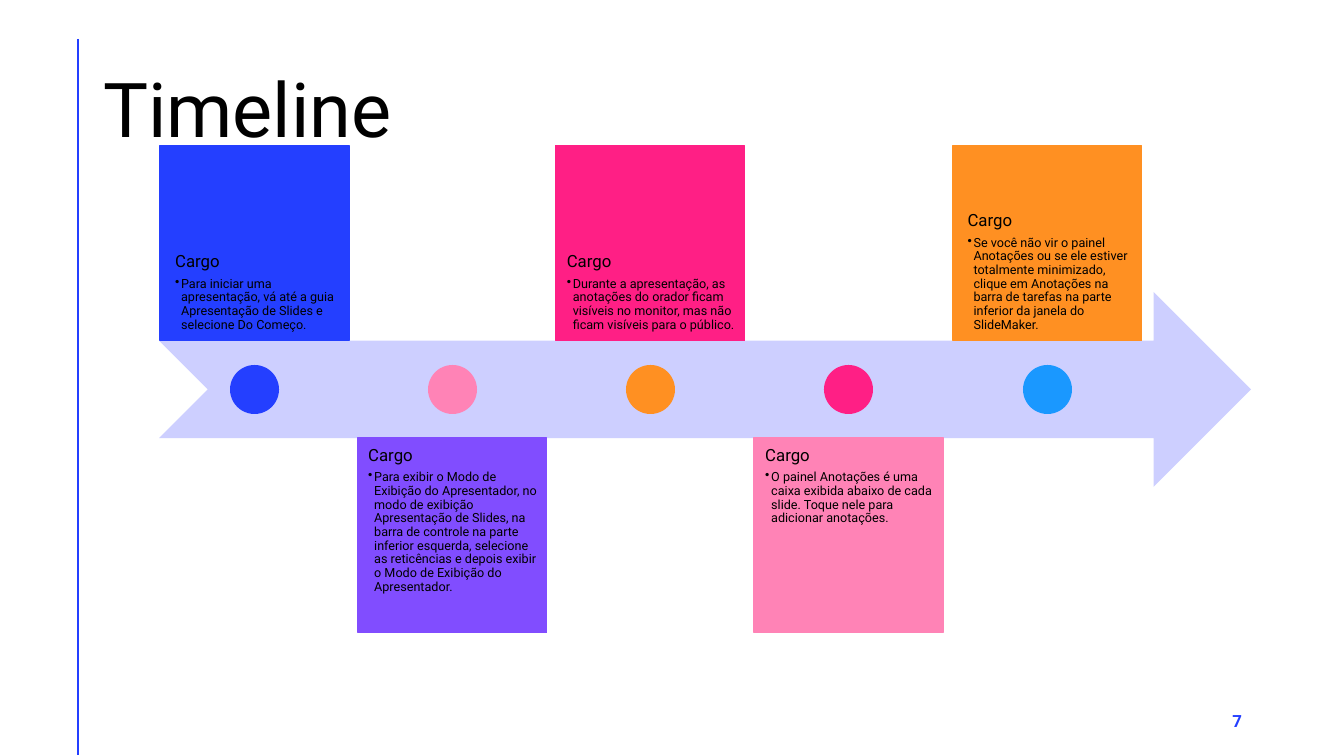
"""Build the timeline slide: five job cards alternating above and below an arrow."""
import pptx
import pptx.util
import pptx.dml.color
import pptx.enum.shapes
import pptx.enum.text
import pptx.oxml.ns
from lxml import etree

PX = 12192000 / 1344
FONT = "Roboto"
COLORS = {
    "black": "000000", "blue": "243FFF", "violet": "814DFF", "magenta": "FF1F85",
    "pink": "FF83B6", "orange": "FF9022", "sky": "1A98FF", "lavender": "CDCFFF",
}
SHAPES = pptx.enum.shapes.MSO_SHAPE
ANCHOR = pptx.enum.text.MSO_ANCHOR
ALIGN = pptx.enum.text.PP_ALIGN


def px(*lengths):
    return [pptx.util.Emu(round(length * PX)) for length in lengths]


def write(paragraph, text, size, color="black", bold=False, align=ALIGN.LEFT,
          spacing=0.9, after=0, bullet=False, tracking=0):
    properties = paragraph._p.get_or_add_pPr()
    if bullet:
        paragraph.level = 1
        indent = px(6)[0]
        properties.set("marL", str(indent))
        properties.set("indent", str(-indent))
        mark = etree.SubElement(properties, pptx.oxml.ns.qn("a:buChar"))
        mark.set("char", "•")
    paragraph.alignment = align
    paragraph.line_spacing = spacing
    paragraph.space_before = pptx.util.Pt(0)
    paragraph.space_after = pptx.util.Pt(after)
    run = paragraph.add_run()
    run.text = text
    run.font.name = FONT
    run.font.size = pptx.util.Pt(size)
    run.font.bold = bold
    run.font.color.rgb = pptx.dml.color.RGBColor.from_string(COLORS[color])
    if tracking:
        run._r.get_or_add_rPr().set("spc", str(tracking * 100))


presentation = pptx.Presentation()
presentation.slide_width, presentation.slide_height = px(1344, 756)
slide = presentation.slides.add_slide(presentation.slide_layouts[5])

rule = slide.shapes.add_connector(
    pptx.enum.shapes.MSO_CONNECTOR.STRAIGHT, *px(78, 39, 78, 755))
rule.line.color.rgb = pptx.dml.color.RGBColor.from_string(COLORS["blue"])
rule.line.width = pptx.util.Pt(2)
etree.SubElement(rule._element.spPr, pptx.oxml.ns.qn("a:effectLst"))

title = slide.shapes.title
title.left, title.top, title.width, title.height = px(93, 40, 1159, 146)
title.text_frame.auto_size = pptx.enum.text.MSO_AUTO_SIZE.NONE
title.text_frame.vertical_anchor = ANCHOR.MIDDLE
write(title.text_frame.paragraphs[0], "Timeline", size=54)

number = slide.shapes.add_textbox(*px(950, 701, 302, 40))
number.text_frame.word_wrap = True
number.text_frame.vertical_anchor = ANCHOR.MIDDLE
write(number.text_frame.paragraphs[0], "7", size=12, color="blue", bold=True,
      align=ALIGN.RIGHT, spacing=1, tracking=1)

CARDS = [
    ("blue", "blue", "Para iniciar uma apresentação, vá até a guia Apresentação de Slides "
     "e selecione Do Começo."),
    ("violet", "pink", "Para exibir o Modo de Exibição do Apresentador, no modo de exibição "
     "Apresentação de Slides, na barra de controle na parte inferior esquerda, selecione "
     "as reticências e depois exibir o Modo de Exibição do Apresentador."),
    ("magenta", "orange", "Durante a apresentação, as anotações do orador ficam visíveis no "
     "monitor, mas não ficam visíveis para o público."),
    ("pink", "magenta", "O painel Anotações é uma caixa exibida abaixo de cada slide. "
     "Toque nele para adicionar anotações."),
    ("orange", "sky", "Se você não vir o painel Anotações ou se ele estiver totalmente "
     "minimizado, clique em Anotações na barra de tarefas na parte inferior da janela do "
     "SlideMaker."),
]
CARD_WIDTH, CARD_HEIGHT, DOT = 189, 195, 49

pieces = [(SHAPES.NOTCHED_RIGHT_ARROW, (159, 292, 1092, 195), "lavender", None)]
for index, (card_color, dot_color, text) in enumerate(CARDS):
    left = 160 + index * 793 // 4
    top = 438 if index % 2 else 146
    pieces.append((SHAPES.RECTANGLE, (left, top, CARD_WIDTH, CARD_HEIGHT), card_color, text))
    pieces.append((SHAPES.OVAL, (left + (CARD_WIDTH - DOT) // 2, 365, DOT, DOT),
                   dot_color, None))

for kind, box, color, text in pieces:
    shape = slide.shapes.add_shape(kind, *px(*box))
    shape.shadow.inherit = False
    shape.fill.solid()
    shape.fill.fore_color.rgb = pptx.dml.color.RGBColor.from_string(COLORS[color])
    if text is None:
        shape.line.fill.background()
        continue
    shape.line.color.rgb = pptx.dml.color.RGBColor.from_string(COLORS[color])
    shape.line.width = pptx.util.Pt(0.75)
    frame = shape.text_frame
    frame.word_wrap = True
    frame.margin_left, frame.margin_top, frame.margin_right, frame.margin_bottom = px(9, 9, 9, 9)
    frame.vertical_anchor = ANCHOR.TOP if box[1] > 292 else ANCHOR.BOTTOM
    frame._txBody.bodyPr.set("anchorCtr", "1")
    write(frame.paragraphs[0], "Cargo", size=12, after=4.2)
    write(frame.add_paragraph(), text, size=9, after=1.35, bullet=True)

presentation.save("out.pptx")
